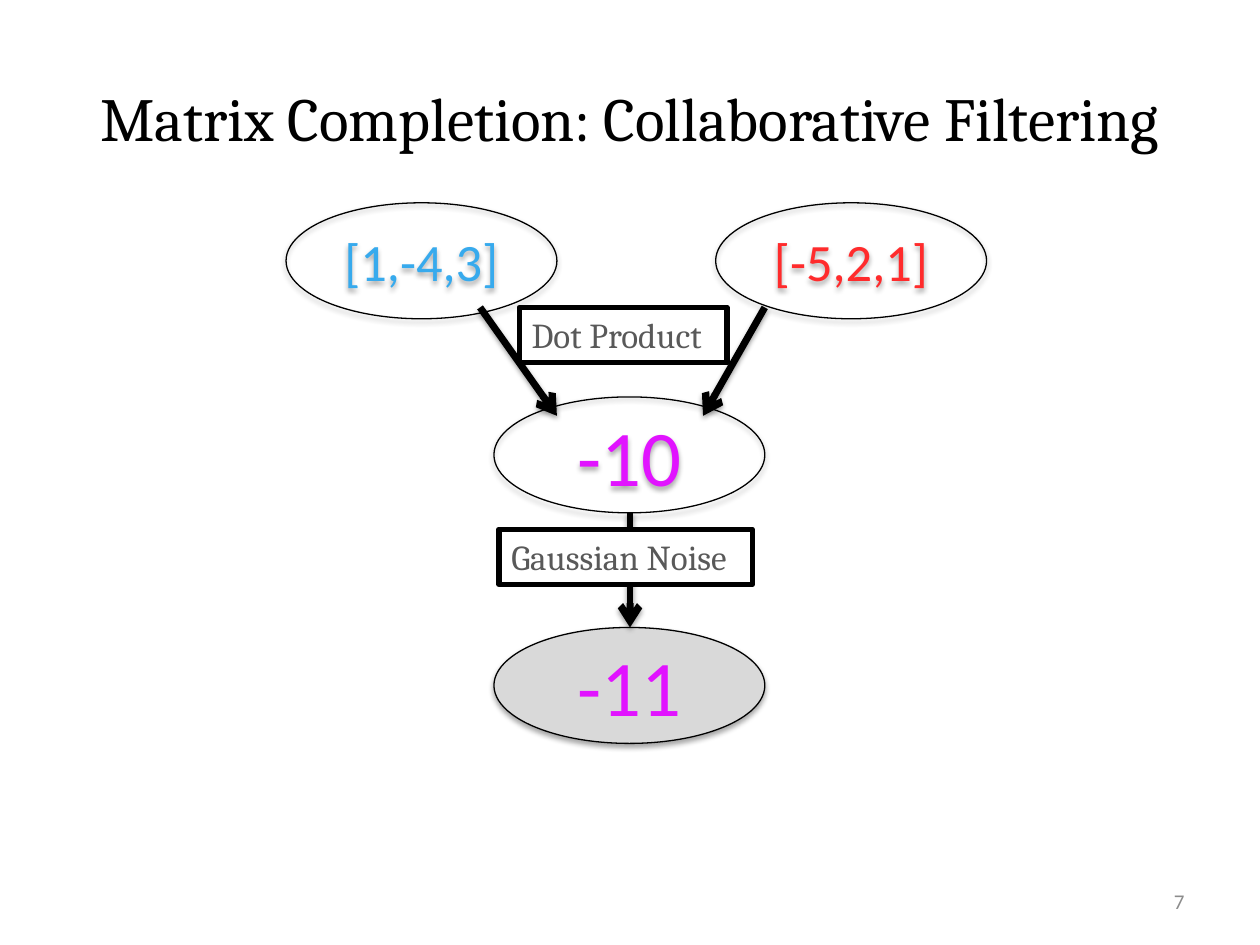
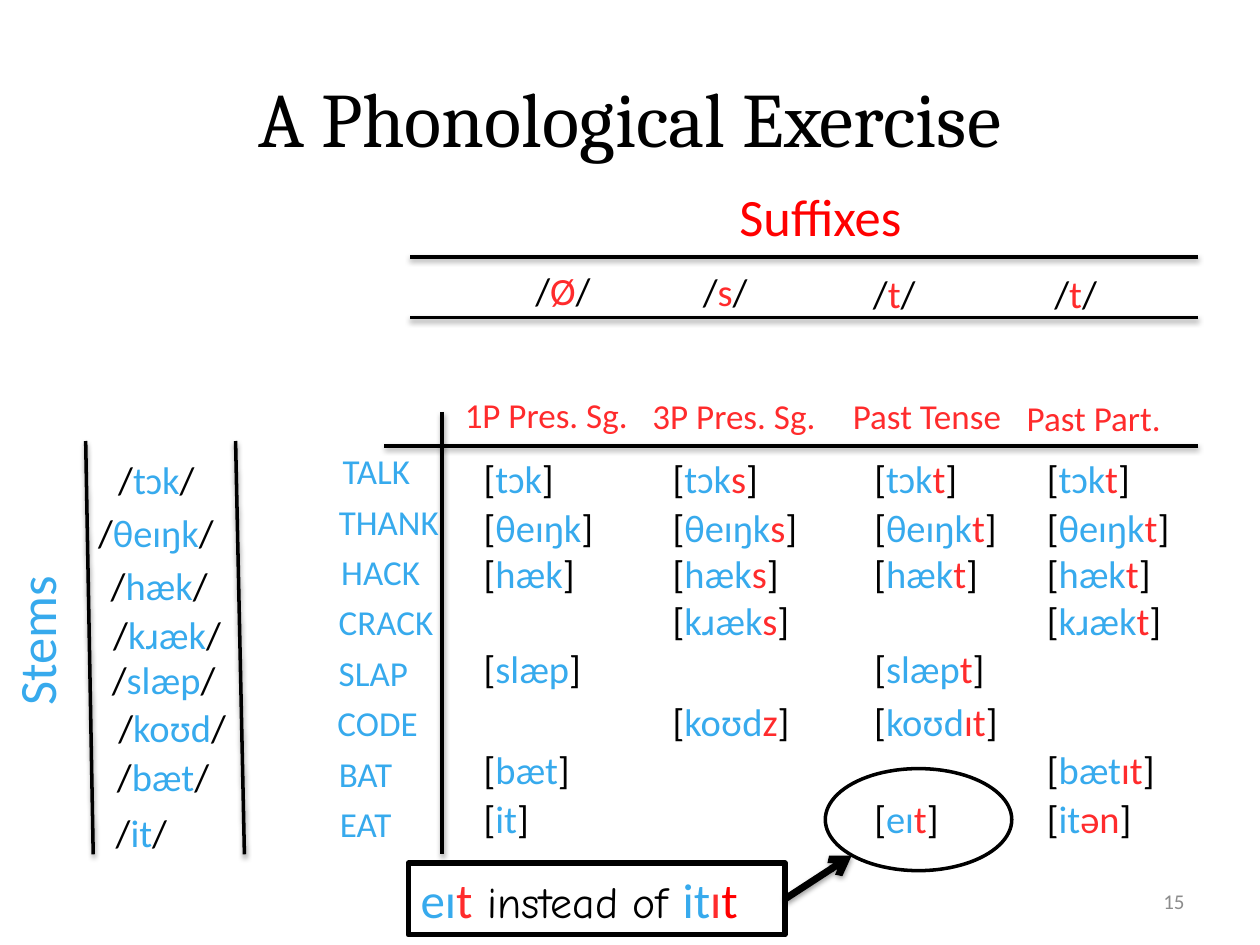
from lxml import etree
from pptx import Presentation
from pptx.dml.color import RGBColor
from pptx.enum.shapes import MSO_CONNECTOR, MSO_SHAPE
from pptx.enum.text import MSO_ANCHOR, MSO_AUTO_SIZE, PP_ALIGN
from pptx.oxml.ns import qn
from pptx.util import Inches, Pt

ELLIPSE, RECTANGLE = MSO_SHAPE.OVAL, MSO_SHAPE.RECTANGLE
STRAIGHT = MSO_CONNECTOR.STRAIGHT
LEFT, CENTER, RIGHT = PP_ALIGN.LEFT, PP_ALIGN.CENTER, PP_ALIGN.RIGHT
TOP, MIDDLE = MSO_ANCHOR.TOP, MSO_ANCHOR.MIDDLE
FIT_SHAPE, NO_FIT = MSO_AUTO_SIZE.SHAPE_TO_FIT_TEXT, MSO_AUTO_SIZE.NONE

COLORS = {
    "black": "000000", "white": "FFFFFF", "observed": "D9D9D9",
    "stem": "37AAED", "suffix": "FF2B2C", "red": "FF0000",
    "score": "E113FF", "label": "595959", "number": "8C8C8C",
}
BODY_FONT, TITLE_FONT, NOTE_FONT = "Calibri", "Cambria", "Comic Neue"


def color(name):
    return RGBColor.from_string(COLORS[name])


class Deck:
    def __init__(self):
        self.presentation = Presentation()
        self.presentation.slide_width = Inches(10)
        self.presentation.slide_height = Inches(7.5)
        self.slide = None

    def new_slide(self, title, number, title_size):
        layout = self.presentation.slide_layouts[5]
        self.slide = self.presentation.slides.add_slide(layout)
        placeholder = self.slide.shapes.title
        placeholder.left, placeholder.top = Inches(0.5), Inches(0.3)
        placeholder.width, placeholder.height = Inches(9), Inches(1.25)
        self.set_runs(placeholder, [(title, "black")], title_size, TITLE_FONT,
                      CENTER, MIDDLE)
        placeholder.text_frame.auto_size = NO_FIT
        self.text(7.17, 6.95, 2.33, 0.4, [(str(number), "number")], 12,
                  align=RIGHT, anchor=MIDDLE, wrap=True, fit=NO_FIT)

    def set_runs(self, shape, runs, size, font=BODY_FONT, align=LEFT,
                 anchor=TOP, wrap=True, level=0):
        """Fill a shape with runs: (text, color) or (text, color, size, font)."""
        frame = shape.text_frame
        frame.word_wrap = wrap
        frame.vertical_anchor = anchor
        paragraph = frame.paragraphs[0]
        paragraph.alignment = align
        paragraph.level = level
        for content, color_name, *special in runs:
            run = paragraph.add_run()
            run.text = content
            run_size, run_font = special or (size, font)
            run.font.size, run.font.name = Pt(run_size), run_font
            run.font.color.rgb = color(color_name)

    def text(self, left, top, width, height, runs, size, align=LEFT,
             anchor=TOP, wrap=False, fit=FIT_SHAPE, level=0, rotation=0):
        box = self.slide.shapes.add_textbox(
            Inches(left), Inches(top), Inches(width), Inches(height))
        box.rotation = rotation
        self.set_runs(box, runs, size, align=align, anchor=anchor, wrap=wrap,
                      level=level)
        box.text_frame.auto_size = fit

    def shape(self, kind, left, top, width, height, line_width, fill=None):
        shape = self.slide.shapes.add_shape(
            kind, Inches(left), Inches(top), Inches(width), Inches(height))
        if fill:
            shape.fill.solid()
            shape.fill.fore_color.rgb = color(fill)
        else:
            shape.fill.background()
        shape.line.color.rgb = color("black")
        shape.line.width = Pt(line_width)
        shape.shadow.inherit = False
        return shape

    def shadow(self, shape, opacity, distance):
        properties = shape._element.spPr
        effects = properties.find(qn("a:effectLst"))
        if effects is None:
            effects = etree.SubElement(properties, qn("a:effectLst"))
        outer = etree.SubElement(
            effects, qn("a:outerShdw"), blurRad=str(Pt(3.1)),
            dist=str(Pt(distance)), dir="5400000", rotWithShape="0")
        black = etree.SubElement(outer, qn("a:srgbClr"), val=COLORS["black"])
        etree.SubElement(black, qn("a:alpha"), val=str(opacity * 1000))

    def line(self, start, end, width=2, arrow=False):
        connector = self.slide.shapes.add_connector(
            STRAIGHT, *(Inches(length) for length in (*start, *end)))
        connector.line.color.rgb = color("black")
        connector.line.width = Pt(width)
        if arrow:
            outline = connector._element.spPr.find(qn("a:ln"))
            etree.SubElement(outline, qn("a:tailEnd"), type="arrow")
        self.shadow(connector, 38, 1.6)
        return connector

    def node(self, left, top, content, color_name, size, fill=None):
        ellipse = self.shape(ELLIPSE, left, top, 2.15, 0.92, 0.75, fill)
        self.shadow(ellipse, 35, 1.8)
        self.set_runs(ellipse, [(content, color_name)], size, align=CENTER,
                      anchor=MIDDLE)

    def operation(self, left, top, width, content):
        box = self.shape(RECTANGLE, left, top, width, 0.44, 3, "white")
        self.set_runs(box, [(content, "label")], 20, TITLE_FONT, wrap=False)
        box.text_frame.auto_size = FIT_SHAPE

    def form(self, left, top, width, brackets, stem="", suffix="", **options):
        """Set a form between brackets, stem and suffix in their colors."""
        parts = [(brackets[0], "black"), (stem, "stem"), (suffix, "suffix"),
                 (brackets[1], "black")]
        self.text(left, top, width, 0.47, [part for part in parts if part[0]],
                  22, **options)


def matrix_completion(deck):
    deck.new_slide("Matrix Completion: Collaborative Filtering", 7, 35)
    deck.node(2.27, 1.61, "[1,-4,3]", "stem", 30)
    deck.node(5.68, 1.61, "[-5,2,1]", "suffix", 30)
    deck.node(3.92, 3.15, "-10", "score", 45)
    deck.node(3.92, 4.98, "-11", "score", 45, "observed")
    for start, end in [((6.07, 2.44), (5.58, 3.3)),
                       ((3.81, 2.44), (4.42, 3.3)),
                       ((5, 4.07), (5, 4.98))]:
        deck.line(start, end, 4, arrow=True)
    deck.operation(4.12, 2.44, 1.65, "Dot Product")
    deck.operation(3.96, 4.2, 2.01, "Gaussian Noise")


# Widths of bracketed stems, and what each suffix adds
STEM_WIDTHS = {"tɔk": 0.77, "θeɪŋk": 1.08, "hæk": 0.93, "kɹæk": 1.02,
               "slæp": 0.98, "koʊd": 1.03, "bæt": 0.9, "it": 0.57, "eɪ": 0.61}
SUFFIX_WIDTHS = {"": 0, "s": 0.12, "z": 0.12, "t": 0.11, "ɪt": 0.17,
                 "ən": 0.31}
# Header, left, top, width
HEADERS = [("1P Pres. Sg.", 3.59, 3.07, 1.51), ("3P Pres. Sg.", 5.08, 3.08, 1.51),
           ("Past Tense", 6.67, 3.08, 1.42), ("Past Part.", 8.05, 3.1, 1.29)]
FORM_LEFTS = [3.74, 5.24, 6.84, 8.21]
# Suffix, left, top, width, indent level
SUFFIXES = [("Ø", 3.65, 2.07, 1.35, 1), ("s", 5.48, 2.08, 0.69, 0),
            ("t", 6.83, 2.09, 0.67, 0), ("t", 8.27, 2.09, 0.67, 0)]
# Gloss, its left and width; stem, its left and top; top of forms; forms
VERBS = [
    ("TALK", 2.62, 0.78, "tɔk", 0.84, 3.57, 3.56,
     ["tɔk", "tɔk+s", "tɔk+t", "tɔk+t"]),
    ("THANK", 2.59, 1.02, "θeɪŋk", 0.68, 3.99, 3.95,
     ["θeɪŋk", "θeɪŋk+s", "θeɪŋk+t", "θeɪŋk+t"]),
    ("HACK", 2.61, 0.85, "hæk", 0.78, 4.41, 4.32,
     ["hæk", "hæk+s", "hæk+t", "hæk+t"]),
    ("CRACK", 2.59, 0.97, "kɹæk", 0.8, 4.8, 4.69,
     ["", "kɹæk+s", "", "kɹæk+t"]),
    ("SLAP", 2.59, 0.76, "slæp", 0.79, 5.16, 5.07,
     ["slæp", "", "slæp+t", ""]),
    ("CODE", 2.58, 0.85, "koʊd", 0.84, 5.54, 5.49,
     ["", "koʊd+z", "koʊd+ɪt", ""]),
    ("BAT", 2.59, 0.65, "bæt", 0.83, 5.93, 5.87,
     ["bæt", "", "", "bæt+ɪt"]),
    ("EAT", 2.6, 0.64, "it", 0.82, 6.37, 6.26,
     ["it", "", "eɪ+t", "it+ən"]),
]


def phonological_exercise(deck):
    deck.new_slide("A Phonological Exercise", 15, 44)
    for start, end in [((3.51, 3.27), (3.51, 6.78)), ((9.51, 3.54), (3.05, 3.54)),
                       ((9.51, 2.52), (3.25, 2.52)), ((9.51, 2.04), (3.25, 2.04)),
                       ((1.87, 3.5), (1.94, 6.78)), ((0.68, 3.5), (0.74, 6.78))]:
        deck.line(start, end)

    deck.text(5.77, 1.41, 1.6, 0.61, [("Suffixes", "red")], 30)
    deck.text(-0.36, 4.75, 1.29, 0.61, [("Stems", "stem")], 30, rotation=270)
    for header, left, top, width in HEADERS:
        deck.text(left, top, width, 0.44, [(header, "suffix")], 20)
    for suffix, left, top, width, level in SUFFIXES:
        deck.form(left, top, width, "//", suffix=suffix, wrap=True, level=level)

    for row, verb in enumerate(VERBS):
        gloss, gloss_left, gloss_width, stem, stem_left, stem_top, top, forms = verb
        deck.text(gloss_left, 3.52 + 0.4 * row, gloss_width, 0.44,
                  [(gloss, "stem")], 20)
        deck.form(stem_left, stem_top, STEM_WIDTHS[stem] + 0.06, "//", stem)
        for left, form in zip(FORM_LEFTS, forms):
            if form:
                base, _, suffix = form.partition("+")
                width = STEM_WIDTHS[base] + SUFFIX_WIDTHS[suffix]
                deck.form(left, top, width, "[]", base, suffix)

    deck.shape(ELLIPSE, 6.55, 6.1, 1.48, 0.81, 2)
    callout = deck.shape(RECTANGLE, 3.24, 6.85, 2.99, 0.57, 3)
    deck.set_runs(callout, [
        ("eɪ", "stem"), ("t", "suffix"), (" ", "suffix", 25, NOTE_FONT),
        ("instead of ", "black", 25, NOTE_FONT),
        ("it", "stem"), ("ɪ", "suffix"), ("t", "red")], 28)
    callout.text_frame.auto_size = FIT_SHAPE
    deck.line((6.23, 7.13), (6.76, 6.79), 4, arrow=True).begin_connect(callout, 3)


def main():
    deck = Deck()
    matrix_completion(deck)
    phonological_exercise(deck)
    deck.presentation.save("out.pptx")


if __name__ == "__main__":
    main()
